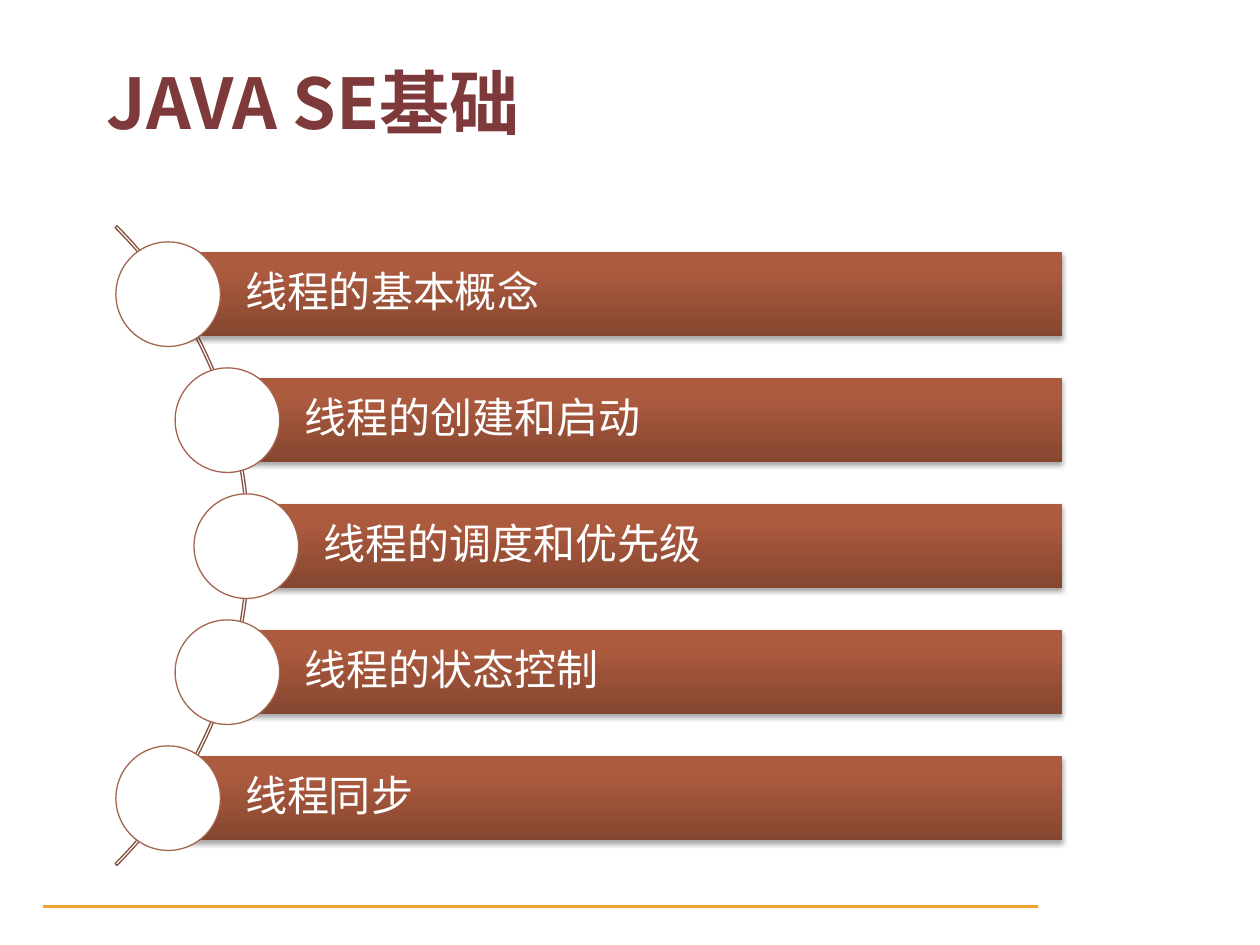
from copy import deepcopy

from pptx import Presentation
from pptx.dml.color import RGBColor
from pptx.enum.shapes import MSO_SHAPE
from pptx.enum.text import MSO_ANCHOR, PP_ALIGN
from pptx.oxml import parse_xml
from pptx.oxml.ns import nsdecls, qn
from pptx.util import Inches, Pt

FONT = "Noto Sans CJK SC"
COLORS = {
    "white": "FFFFFF",
    "title": "7E3A3A",
    "rule": "F0A22E",
    "arc": "84503E",
    "ring": "A5644E",
    "bar_bottom": "854630",
    "bar_middle": "AD5B3F",
    "bar_top": "AF5A3D",
    "shadow": "000000",
}

# Topics with the left edge of each bar, which follows the arc
TOPICS = [
    (" 线程的基本概念", 1.34),
    (" 线程的创建和启动", 1.81),
    (" 线程的调度和优先级", 1.96),
    (" 线程的状态控制", 1.81),
    (" 线程同步", 1.34),
]
FIRST_TOP, ROW_STEP = 2, 1
BAR_RIGHT, BAR_HEIGHT = 8.43, 0.67
CIRCLE_SIZE = 0.83


def rgb(name):
    return RGBColor.from_string(COLORS[name])


def add_outline_shape(slide, preset, box, fill, line, width):
    """Add a preset shape with an outline; fill None leaves it hollow."""
    shape = slide.shapes.add_shape(preset, *map(Inches, box))
    shape.shadow.inherit = False
    if fill:
        shape.fill.solid()
        shape.fill.fore_color.rgb = rgb(fill)
    else:
        shape.fill.background()
    shape.line.color.rgb = rgb(line)
    shape.line.width = Pt(width)
    return shape


def write_text(frame, text, size, color, bold=False):
    frame.word_wrap = True
    paragraph = frame.paragraphs[0]
    paragraph.alignment = PP_ALIGN.LEFT
    run = paragraph.add_run()
    run.text = text
    font = run.font
    font.name, font.size, font.bold = FONT, Pt(size), bold
    font.color.rgb = rgb(color)
    # East Asian typeface
    run._r.get_or_add_rPr().append(
        parse_xml(f'<a:ea {nsdecls("a")} typeface="{FONT}"/>'))
    return paragraph


def paint_bar(bar):
    """Give a bar its three-stop vertical gradient and soft shadow."""
    bar.fill.gradient()
    bar.fill.gradient_angle = 90
    stop_list = bar._element.spPr.find(qn("a:gradFill")).find(qn("a:gsLst"))
    stop_list.append(deepcopy(stop_list[-1]))
    shades = [("bar_bottom", 0), ("bar_middle", 0.8), ("bar_top", 1)]
    for stop, (color, position) in zip(bar.fill.gradient_stops, shades):
        stop.color.rgb = rgb(color)
        stop.position = position
    bar.line.fill.background()

    bar.shadow.inherit = False
    effects = bar._element.spPr.find(qn("a:effectLst"))
    effects.append(parse_xml(
        f'<a:outerShdw {nsdecls("a")} blurRad="{Pt(3.1)}" dist="{Pt(1.8)}" '
        f'dir="5400000" rotWithShape="0"><a:srgbClr val="{COLORS["shadow"]}">'
        '<a:alpha val="35000"/></a:srgbClr></a:outerShdw>'))


def add_topic(slide, text, left, top):
    bar = slide.shapes.add_shape(
        MSO_SHAPE.RECTANGLE, Inches(left), Inches(top),
        Inches(BAR_RIGHT - left), Inches(BAR_HEIGHT))
    paint_bar(bar)

    frame = bar.text_frame
    frame.vertical_anchor = MSO_ANCHOR.MIDDLE
    frame.margin_left = Inches(0.53)
    frame.margin_top = frame.margin_right = frame.margin_bottom = Inches(0.07)
    write_text(frame, text, 24, "white").line_spacing = 0.9

    circle_box = (left - 0.42, top + (BAR_HEIGHT - CIRCLE_SIZE) / 2,
                  CIRCLE_SIZE, CIRCLE_SIZE)
    add_outline_shape(slide, MSO_SHAPE.OVAL, circle_box, "white", "ring", 0.75)


def add_arc(slide):
    arc = add_outline_shape(slide, MSO_SHAPE.BLOCK_ARC,
                            (-5.2, 0.74, 7.18, 7.18), None, "arc", 0.75)
    for index, value in enumerate((189, 27, 0.003)):
        arc.adjustments[index] = value


def add_title(slide, text):
    title = slide.shapes.add_textbox(
        Inches(0.75), Inches(0.42), Inches(8.11), Inches(0.75))
    write_text(title.text_frame, text, 40, "title", bold=True)


def main():
    presentation = Presentation()
    presentation.slide_width, presentation.slide_height = Inches(10), Inches(7.5)
    slide = presentation.slides.add_slide(presentation.slide_layouts[6])

    # Footer rule
    add_outline_shape(slide, MSO_SHAPE.RECTANGLE, (0.33, 7.17, 7.92, 0.05),
                      "rule", "white", 2)

    # Topic list along the arc
    add_arc(slide)
    for row, (text, left) in enumerate(TOPICS):
        add_topic(slide, text, left, FIRST_TOP + row * ROW_STEP)

    add_title(slide, "JAVA SE基础")
    presentation.save("out.pptx")


if __name__ == "__main__":
    main()
